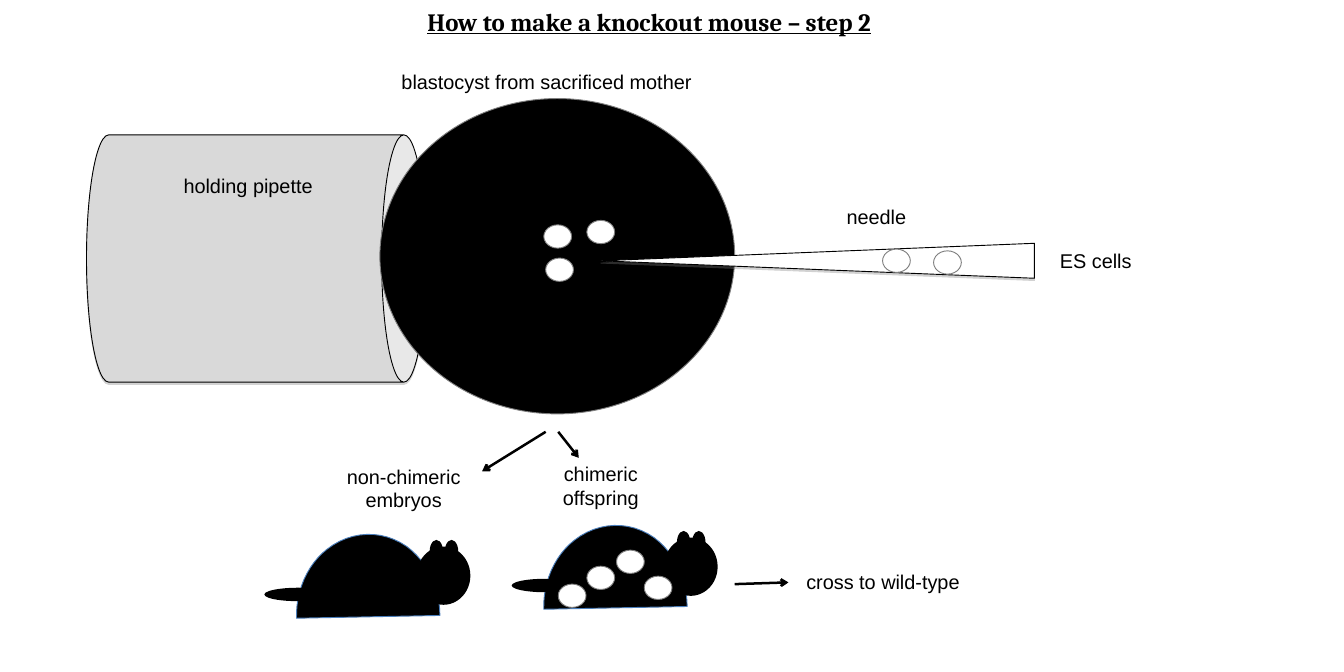
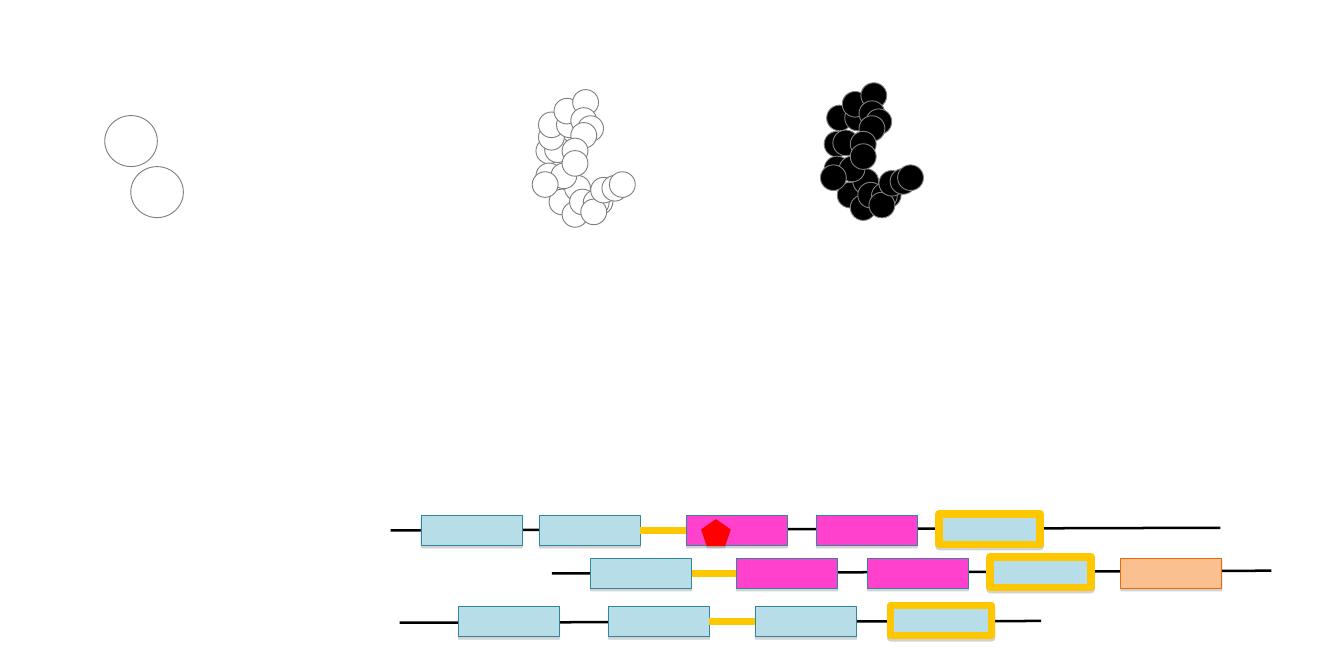
import dataclasses
import lxml.etree
import pptx
import pptx.dml.color
import pptx.enum.shapes
import pptx.enum.text
import pptx.oxml.ns
import pptx.util

Pt = pptx.util.Pt
Form = pptx.enum.shapes.MSO_SHAPE
Align = pptx.enum.text.PP_ALIGN
qn = pptx.oxml.ns.qn


@dataclasses.dataclass(frozen=True)
class Theme:
    black: str = "000000"
    white: str = "FFFFFF"
    gray: str = "7F7F7F"
    glass: str = "D9D9D9"
    shade: str = "808080"
    fur: str = "4A7EBB"
    blue: str = "B7DEE8"
    teal: str = "31859C"
    pink: str = "FF41CD"
    gold: str = "FFC700"
    peach: str = "FAC090"
    rust: str = "E46C0A"
    red: str = "FF0000"
    serif: str = "Cambria"
    sans: str = "Arial"
    head: float = 20
    body: float = 16
    thin: float = 0.75
    mid: float = 2
    thick: float = 6


theme = Theme()
rgb = pptx.dml.color.RGBColor.from_string


def draw(pool, form, box, fill, edge=None, wide=theme.thin, turn=0, shade=False):
    shape = pool.add_shape(form, *map(Pt, box))
    shape.rotation = turn
    shape.shadow.inherit = False
    shape.fill.solid()
    shape.fill.fore_color.rgb = rgb(fill)
    if edge:
        shape.line.color.rgb = rgb(edge)
        shape.line.width = Pt(wide)
    else:
        shape.line.fill.background()
    if shade:
        effects = shape._element.spPr.find(qn("a:effectLst"))
        drop = lxml.etree.SubElement(effects, qn("a:outerShdw"), blurRad="0",
                                     dist=str(Pt(1.8)), dir="5400000", rotWithShape="0")
        tint = lxml.etree.SubElement(drop, qn("a:srgbClr"), val=theme.shade)
        lxml.etree.SubElement(tint, qn("a:alpha"), val="35000")
    return shape


def wire(pool, ends, color, wide, arrow=False):
    line = pool.add_connector(pptx.enum.shapes.MSO_CONNECTOR.STRAIGHT, *map(Pt, ends))
    line.line.color.rgb = rgb(color)
    line.line.width = Pt(wide)
    if arrow:
        lxml.etree.SubElement(line.line._get_or_add_ln(), qn("a:tailEnd"), type="arrow")
    lxml.etree.SubElement(line._element.spPr, qn("a:effectLst"))
    return line


deck = pptx.Presentation()
deck.slide_width, deck.slide_height = Pt(1080), Pt(540)
blank = deck.slide_layouts[6]

slide = deck.slides.add_slide(blank)
pool = slide.shapes
pipette = draw(pool, Form.CAN, (106.6, 71.3, 198.7, 272.9), theme.glass, theme.black,
               turn=90, shade=True)
pipette.adjustments[0] = 0.18
draw(pool, Form.OVAL, (305.3, 79.2, 285.1, 253.4), theme.black, theme.gray)
draw(pool, Form.ISOSCELES_TRIANGLE, (643, 35.3, 28.1, 348.5), theme.white, theme.black,
     turn=270, shade=True)

title = "How to make a knockout mouse – step 2"
labels = [
    (title, 236.2, 1.4, 571, 31.7, Align.CENTER),
    ("holding pipette", 140.4, 136.1, 131.8, 26.6, Align.LEFT),
    ("needle", 673.2, 161.3, 131.8, 26.6, Align.LEFT),
    ("blastocyst from sacrificed mother", 286.6, 52.6, 305.3, 26.6, Align.CENTER),
    ("ES cells", 844.6, 196.6, 131.8, 26.6, Align.LEFT),
    ("non-chimeric embryos", 270.7, 369.4, 107.3, 46, Align.CENTER),
    ("chimeric offspring", 429.1, 367.2, 107.3, 46, Align.CENTER),
    ("cross to wild-type", 633.6, 454.3, 151.9, 26.6, Align.CENTER),
]
for text, x, y, w, h, align in labels:
    frame = pool.add_textbox(Pt(x), Pt(y), Pt(w), Pt(h)).text_frame
    frame.word_wrap = True
    frame.auto_size = pptx.enum.text.MSO_AUTO_SIZE.SHAPE_TO_FIT_TEXT
    para = frame.paragraphs[0]
    para.text = text
    para.alignment = align
    top = text == title
    para.font.name = theme.serif if top else theme.sans
    para.font.size = Pt(theme.head if top else theme.body)
    para.font.color.rgb = rgb(theme.black)
    if top:
        para.font.bold = para.font.underline = True

curves = [
    ((25.9, 64.8), (25.2, 43.2), (34.6, 21.6), (50.4, 9.4)),
    ((50.4, 9.4), (69.8, -5.8), (95, -6.5), (114.5, 7.2)),
    ((114.5, 7.2), (131, 19.4), (141.1, 40.3), (141.1, 62.6)),
]
steps = 12
back = [curves[0][0]]
for curve in curves:
    for step in range(1, steps + 1):
        t = step / steps
        mix = ((1 - t) ** 3, 3 * t * (1 - t) ** 2, 3 * t * t * (1 - t), t ** 3)
        back.append(tuple(sum(m * p[axis] for m, p in zip(mix, curve)) for axis in (0, 1)))
limbs = [
    (122.4, 7.2, 43.2, 46.8, 0),
    (0, 40.3, 54, 10.8, 0),
    (128.9, 5.8, 18.7, 10.8, 270),
    (141.1, 5.8, 18.7, 10.8, 270),
]
for left, top in ((212.4, 432), (411.1, 424.8)):
    mouse = pool.add_group_shape().shapes
    spots = [(Pt(left + x), Pt(top + y)) for x, y in back]
    pen = mouse.build_freeform(*spots[0])
    pen.add_line_segments(spots[1:], close=True)
    body = pen.convert_to_shape()
    body.shadow.inherit = False
    body.fill.solid()
    body.fill.fore_color.rgb = rgb(theme.black)
    body.line.color.rgb = rgb(theme.fur)
    body.line.width = Pt(theme.thin)
    for x, y, w, h, turn in limbs:
        draw(mouse, Form.OVAL, (left + x, top + y, w, h), theme.black, turn=turn)

cells = [
    (750.2, 201.6), (709.2, 200.2), (437, 180.7), (438.5, 207.4), (471.6, 177.1),
    (471.6, 455), (448.6, 469.4), (495.4, 442.1), (517.7, 463),
]
for x, y in cells:
    draw(pool, Form.OVAL, (x, y, 22.3, 18.7), theme.white, theme.gray)

for ends in ((590.4, 469.4, 633.6, 468), (448.6, 347, 465.1, 367.9),
             (438.5, 347, 387.4, 378.7)):
    wire(pool, ends, theme.black, theme.mid, arrow=True)

slide = deck.slides.add_slide(blank)
pool = slide.shapes
kinds = {
    "blue": (theme.blue, theme.teal, theme.thin),
    "pink": (theme.pink, theme.teal, theme.thin),
    "gold": (theme.blue, theme.gold, theme.thick),
    "peach": (theme.peach, theme.rust, theme.thin),
}
genes = [
    (414, (313.9, 426.2, 980.6, 424.1), 1,
     [(338.4, "blue"), (433.4, "blue"), (551.5, "pink"), (655.9, "pink"), (754.6, "gold")]),
    (487.4, (321.1, 500.4, 836.6, 499), 1,
     [(368.6, "blue"), (488.9, "blue"), (607, "blue"), (715.7, "gold")]),
    (448.6, (443.5, 460.8, 1021.7, 458.6), 0,
     [(474.5, "blue"), (591.8, "pink"), (697, "pink"), (795.6, "gold"), (900.7, "peach")]),
]
for top, ends, link, parts in genes:
    wire(pool, ends, theme.black, theme.mid)
    exons = []
    for x, kind in parts:
        y = top - 1 if kind == "gold" else top
        exons.append(draw(pool, Form.RECTANGLE, (x, y, 81.2, 24.4), *kinds[kind], shade=True))
    join = wire(pool, (0, 0, 0, 0), theme.gold, theme.thick)
    join.begin_connect(exons[link], 3)
    join.end_connect(exons[link + 1], 1)
draw(pool, Form.REGULAR_PENTAGON, (563.8, 417.6, 23, 20.9), theme.red, theme.red, shade=True)

for x, y in ((84.2, 92.9), (105.1, 133.9)):
    draw(pool, Form.OVAL, (x, y, 42.3, 41), theme.white, theme.gray)

dots = [
    (3, 39), (13.5, 80), (3, 59), (24, 90), (26, 69), (15, 59), (10, 38), (5, 28),
    (5, 18), (19.5, 18), (17.5, 7), (32.5, 0), (31, 14.5), (36.5, 21), (31, 26.5),
    (24, 39), (24, 49), (30, 80), (44, 80), (41, 80.5), (39, 88), (0, 66),
    (47, 70.5), (56, 69), (62, 66),
]
clumps = [
    (pool.add_group_shape().shapes, 427.7, 72, theme.white, dots),
    (pool, 659.3, 66.5, theme.black, dots[:7] + dots[8:]),
]
for home, left, top, fill, group in clumps:
    for x, y in group:
        draw(home, Form.OVAL, (left + x, top + y, 20.8, 20.6), fill, theme.gray)

deck.save("out.pptx")
